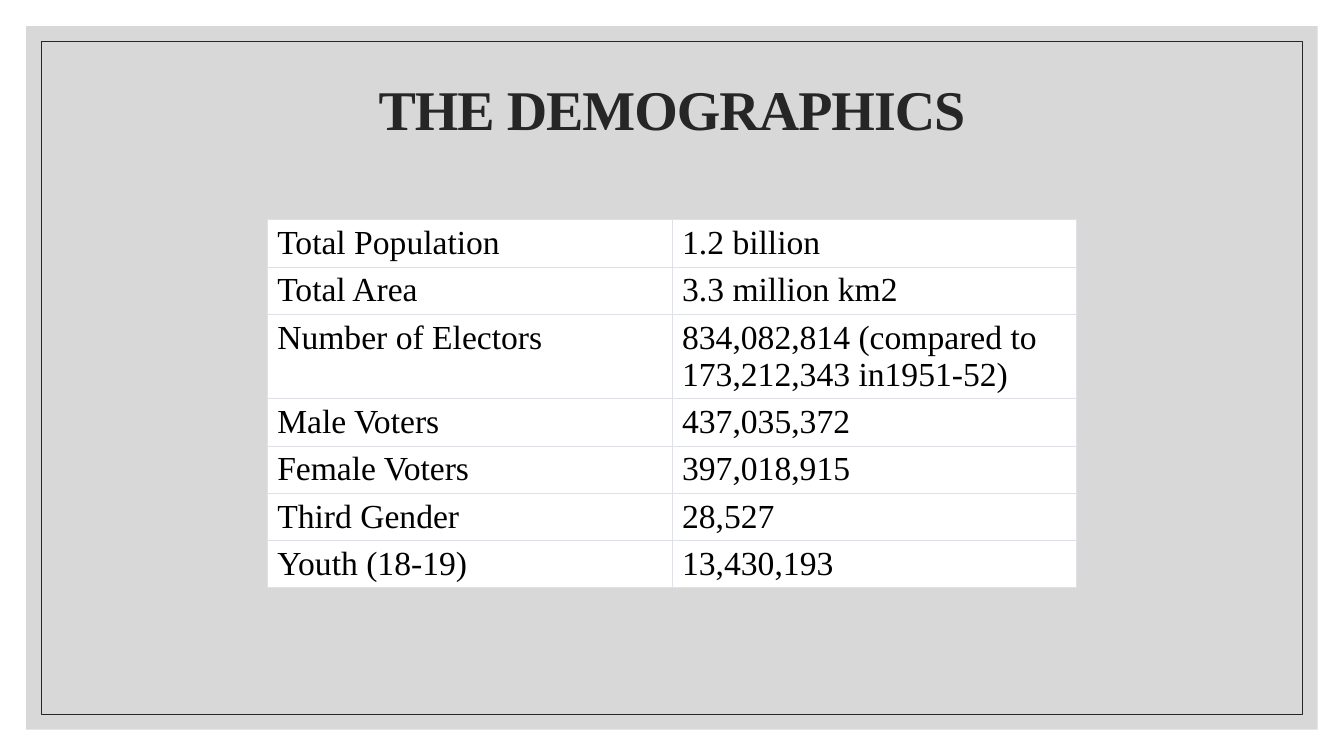
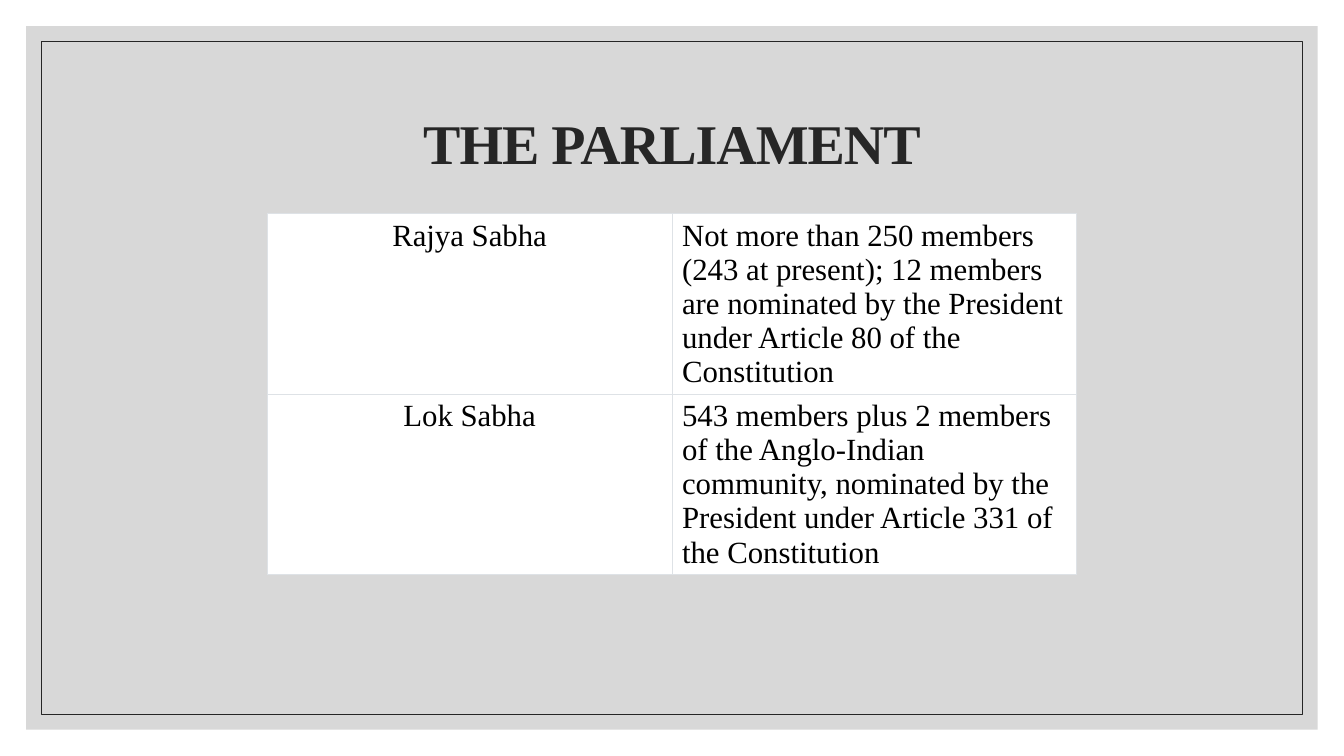
from lxml import etree
from pptx import Presentation
from pptx.dml.color import RGBColor
from pptx.enum.shapes import MSO_SHAPE
from pptx.enum.text import MSO_ANCHOR, MSO_AUTO_SIZE, PP_ALIGN
from pptx.oxml.ns import qn
from pptx.util import Inches, Pt

RECTANGLE = MSO_SHAPE.RECTANGLE
MIDDLE = MSO_ANCHOR.MIDDLE
NO_FIT = MSO_AUTO_SIZE.NONE
LEFT, CENTER = PP_ALIGN.LEFT, PP_ALIGN.CENTER

FONT = "Times New Roman"
WHITE = RGBColor(0xFF, 0xFF, 0xFF)
BLACK = RGBColor(0, 0, 0)
INK = RGBColor(0x26, 0x26, 0x26)
PANEL = RGBColor(0xBF, 0xBF, 0xBF)
BORDER = RGBColor(0xDE, 0xE2, 0xE6)

SLIDE_W, SLIDE_H = 13.33, 7.5
TITLE_W, TITLE_H = 11, 1.5
TABLE_W = 8.03
LINE_PITCH = 1.107  # line height as a share of the text size
CELL_PADDING = 0.1  # top and bottom margins of a cell together

# Each row: label, value, number of text lines
DEMOGRAPHICS = [
    ("Total Population", "1.2 billion", 1),
    ("Total Area", "3.3 million km2", 1),
    ("Number of Electors", "834,082,814 (compared to 173,212,343 in1951-52)", 2),
    ("Male Voters", "437,035,372", 1),
    ("Female Voters", "397,018,915", 1),
    ("Third Gender", "28,527", 1),
    ("Youth (18-19)", "13,430,193", 1),
]
PARLIAMENT = [
    ("Rajya Sabha", "Not more than 250 members (243 at present); 12 members are "
     "nominated by the President under Article 80 of the Constitution", 5),
    ("Lok Sabha", "543 members plus 2 members of the Anglo-Indian community, "
     "nominated by the President under Article 331 of the Constitution", 5),
]


def style_font(p, size, color, bold=False):
    p.font.name, p.font.size, p.font.bold = FONT, Pt(size), bold
    p.font.color.rgb = color


def add_inset_rectangle(slide, inset):
    """Rectangle at an equal distance from all slide edges."""
    sp = slide.shapes.add_shape(
        RECTANGLE, Inches(inset), Inches(inset),
        Inches(SLIDE_W - 2 * inset), Inches(SLIDE_H - 2 * inset))
    sp.shadow.inherit = False
    return sp


def add_master_frame(master, slide):
    """Grey panel and thin frame, drawn on a slide and moved to the master."""
    panel = add_inset_rectangle(slide, 0.26)
    panel.fill.solid()
    panel.fill.fore_color.rgb = PANEL
    panel.line.fill.background()
    color = panel.element.spPr.find(".//" + qn("a:srgbClr"))
    etree.SubElement(color, qn("a:alpha"), val="60000")

    frame = add_inset_rectangle(slide, 0.41)
    frame.fill.background()
    frame.line.color.rgb = INK
    frame.line.width = Pt(0.5)

    for i, sp in enumerate((panel, frame)):
        sp.element.nvSpPr.cNvPr.set("id", str(100 + i))
        master.shapes.element.insert(2 + i, sp.element)


def place_title(slide, text, top):
    title = slide.shapes.title
    title.left, title.top = Inches((SLIDE_W - TITLE_W) / 2), Inches(top)
    title.width, title.height = Inches(TITLE_W), Inches(TITLE_H)
    tf = title.text_frame
    tf.text = text
    tf.vertical_anchor, tf.auto_size, tf.word_wrap = MIDDLE, NO_FIT, True
    p = tf.paragraphs[0]
    p.alignment, p.line_spacing = CENTER, 0.9
    style_font(p, 40, INK, bold=True)
    p.runs[0].font.size = Pt(40)
    p.runs[0]._r.get_or_add_rPr().set("spc", "-70")


def set_borders(cell):
    tc_pr = cell._tc.get_or_add_tcPr()
    for i, side in enumerate(("lnL", "lnR", "lnT", "lnB")):
        ln = etree.Element(qn("a:" + side), w=str(Pt(0.6)))
        fill = etree.SubElement(ln, qn("a:solidFill"))
        etree.SubElement(fill, qn("a:srgbClr"), val=str(BORDER))
        tc_pr.insert(i, ln)


def add_facts_table(slide, rows, top, size, label_align):
    heights = [n * size / 72 * LINE_PITCH + CELL_PADDING for _, _, n in rows]
    table = slide.shapes.add_table(
        len(rows), 2, Inches((SLIDE_W - TABLE_W) / 2), Inches(top),
        Inches(TABLE_W), Inches(sum(heights))).table
    table.first_row = table.horz_banding = False
    for r, (label, value, _) in enumerate(rows):
        table.rows[r].height = Inches(heights[r])
        for c, (text, align) in enumerate(((label, label_align), (value, LEFT))):
            cell = table.cell(r, c)
            cell.text = text
            cell.fill.solid()
            cell.fill.fore_color.rgb = WHITE
            set_borders(cell)
            p = cell.text_frame.paragraphs[0]
            p.alignment = align
            style_font(p, size, BLACK)


def add_table_slide(prs, title, title_top, rows, table_top, size, label_align):
    slide = prs.slides.add_slide(prs.slide_layouts.get_by_name("Title Only"))
    place_title(slide, title, title_top)
    add_facts_table(slide, rows, table_top, size, label_align)
    return slide


def main():
    prs = Presentation()
    prs.slide_width, prs.slide_height = Inches(SLIDE_W), Inches(SLIDE_H)
    first = add_table_slide(prs, "THE DEMOGRAPHICS", 0.36,
                            DEMOGRAPHICS, 2.18, 24, LEFT)
    add_table_slide(prs, "THE PARLIAMENT", 0.7, PARLIAMENT, 2.12, 22, CENTER)
    add_master_frame(prs.slide_master, first)
    prs.save("out.pptx")


if __name__ == "__main__":
    main()
